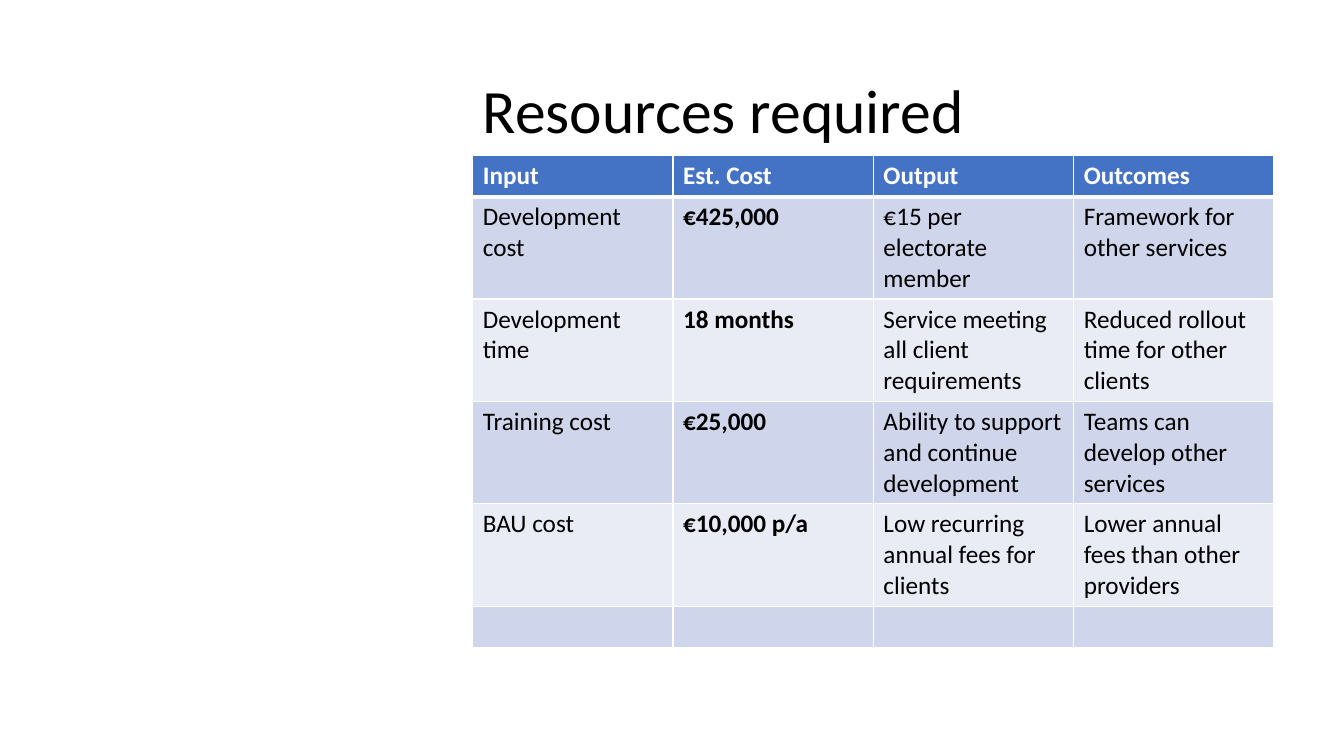
from lxml.etree import SubElement
from pptx import Presentation
from pptx.dml.color import RGBColor
from pptx.enum.text import MSO_ANCHOR as Anchor, MSO_AUTO_SIZE as Fit, PP_ALIGN as Align
from pptx.oxml.ns import qn
from pptx.util import Pt


def color(code):
    return RGBColor.from_string(code)


class Deck:
    font = "Calibri"
    white, black, blue = "FFFFFF", "000000", "4472C4"
    bands = ("E9EBF5", "CFD5EA")

    def __init__(self):
        self.show = Presentation()
        self.show.slide_width, self.show.slide_height = Pt(960), Pt(540)
        self.slide = self.show.slides.add_slide(self.show.slide_layouts[5])

    def text(self, para, words, size, ink, bold=False):
        run = para.add_run()
        run.text = words
        run.font.name, run.font.size, run.font.bold = self.font, Pt(size), bold
        run.font.color.rgb = color(ink)

    def title(self, words, left, top, width, height):
        box = self.slide.shapes.title
        box.left, box.top, box.width, box.height = Pt(left), Pt(top), Pt(width), Pt(height)
        frame = box.text_frame
        frame.auto_size, frame.word_wrap = Fit.NONE, True
        frame.vertical_anchor = Anchor.MIDDLE
        para = frame.paragraphs[0]
        para.alignment, para.line_spacing = Align.LEFT, 0.9
        self.text(para, words, 44, self.black)

    def edges(self, cell, top, base):
        props = cell._tc.get_or_add_tcPr()
        for side, width in (("L", 1), ("R", 1), ("T", top), ("B", base)):
            line = SubElement(props, qn(f"a:ln{side}"), w=str(Pt(width)))
            fill = SubElement(line, qn("a:solidFill"))
            SubElement(fill, qn("a:srgbClr"), val=self.white)

    def table(self, rows, left, top, width, height, step):
        frame = self.slide.shapes.add_table(
            len(rows), len(rows[0]), Pt(left), Pt(top), Pt(width), Pt(height))
        grid = frame.table
        for r, row in enumerate(rows):
            head = r == 0
            grid.rows[r].height = Pt(step)
            for c, words in enumerate(row):
                cell = grid.cell(r, c)
                self.edges(cell, 3 if r == 1 else 1, 3 if head else 1)
                cell.fill.solid()
                cell.fill.fore_color.rgb = color(self.blue if head else self.bands[r % 2])
                if words:
                    ink = self.white if head else self.black
                    self.text(cell.text_frame.paragraphs[0], words, 18, ink, head or c == 1)
        frame.height = Pt(height)


def main():
    deck = Deck()
    deck.title("Resources required", 337.7, 28.8, 572.4, 104.4)
    rows = [
        ("Input", "Est. Cost", "Output", "Outcomes"),
        ("Development cost", "€425,000", "€15 per electorate member",
         "Framework for other services"),
        ("Development time", "18 months", "Service meeting all client requirements",
         "Reduced rollout time for other clients"),
        ("Training cost", "€25,000", "Ability to support and continue development",
         "Teams can develop other services"),
        ("BAU cost", "€10,000 p/a", "Low recurring annual fees for clients",
         "Lower annual fees than other providers"),
        ("",) * 4,
    ]
    deck.table(rows, 337.7, 111.3, 572.4, 346.3, 29.2)
    deck.show.save("out.pptx")


if __name__ == "__main__":
    main()
